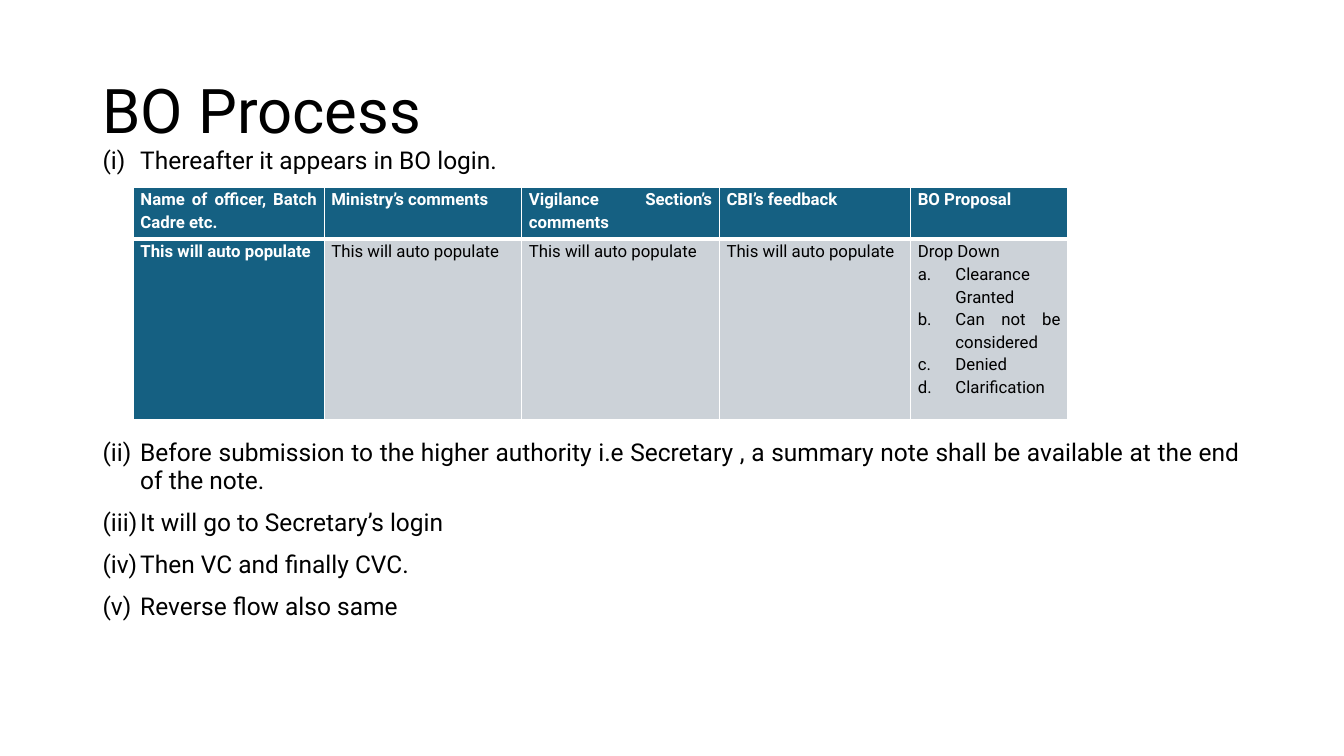
from lxml import etree
from pptx import Presentation
from pptx import util as u
from pptx.dml.color import RGBColor
from pptx.enum import text
from pptx.oxml.ns import qn

FONT = "Roboto"
BLACK, WHITE, TEAL, GREY = "000000", "FFFFFF", "156082", "CCD2D8"
STEPS = [
    "Thereafter it appears in BO login.",
    "Before submission to the higher authority i.e Secretary , a summary note "
    "shall be available at the end of the note.",
    "It will go to Secretary’s login",
    "Then VC and finally CVC.",
    "Reverse flow also same",
]
AUTO = "This will auto populate"
CHOICES = ["Clearance Granted", "Can not be considered", "Denied", "Clarification"]
ROWS = [
    ["Name of officer, Batch Cadre etc.", "Ministry’s comments",
     "Vigilance Section’s comments", "CBI’s feedback", "BO Proposal"],
    [AUTO, AUTO, AUTO, AUTO, "\n".join(["Drop Down"] + CHOICES)],
]
COL_WIDTHS = [4.81, 4.98, 4.98, 4.82, 3.96]
ROW_HEIGHTS = [1.32, 4.54]


def rgb(value):
    return RGBColor.from_string(value)


def place(sp, x, y, w, h):
    sp.left, sp.top, sp.width, sp.height = (u.Cm(v) for v in (x, y, w, h))


def format_runs(p, size, color, bold=False):
    for r in p.runs:
        r.font.name, r.font.size, r.font.bold = FONT, u.Pt(size), bold
        r.font.color.rgb = rgb(color)


def justify(p, line_spacing, before=0):
    p.alignment = text.PP_ALIGN.JUSTIFY
    p.line_spacing = line_spacing
    p.space_before = u.Pt(before)


def number(p, scheme):
    """Give the paragraph automatic numbering with a hanging indent."""
    pPr = p._p.get_or_add_pPr()
    pPr.set("marL", str(u.Cm(0.95)))
    pPr.set("indent", str(-u.Cm(0.95)))
    etree.SubElement(pPr, qn("a:buFont")).set("typeface", FONT)
    etree.SubElement(pPr, qn("a:buAutoNum")).set("type", scheme)


def set_borders(cell, widths):
    """Draw white borders; widths in points for left, right, top, bottom."""
    tcPr = cell._tc.get_or_add_tcPr()
    for i, (side, width) in enumerate(zip("LRTB", widths)):
        ln = etree.Element(qn("a:ln" + side), w=str(u.Pt(width)))
        fill = etree.SubElement(ln, qn("a:solidFill"))
        etree.SubElement(fill, qn("a:srgbClr")).set("val", WHITE)
        tcPr.insert(i, ln)


def add_title(s, x, y, w, h):
    sp = s.shapes.title
    place(sp, x, y, w, h)
    tf = sp.text_frame
    tf.text = "BO Process"
    tf.auto_size = text.MSO_AUTO_SIZE.NONE
    tf.vertical_anchor = text.MSO_ANCHOR.MIDDLE
    p = tf.paragraphs[0]
    p.alignment = text.PP_ALIGN.LEFT
    p.line_spacing = 0.9
    format_runs(p, 44, BLACK)


def add_steps(s, x, y, w, h, table_gap):
    """List the steps, leaving table_gap points after the first one."""
    sp = s.placeholders[1]
    place(sp, x, y, w, h)
    tf = sp.text_frame
    tf.text = "\n".join(STEPS)
    tf.auto_size = text.MSO_AUTO_SIZE.NONE
    tf.vertical_anchor = text.MSO_ANCHOR.TOP
    for i, p in enumerate(tf.paragraphs):
        justify(p, 0.95, table_gap if i == 1 else 10)
        number(p, "romanLcParenBoth")
        format_runs(p, 17.5, BLACK)


def fill_cell(cell, content, header, label):
    """Write one cell; label marks the header row and the first column."""
    cell.text = content
    cell.margin_left = cell.margin_right = u.Cm(0.18)
    cell.margin_top = cell.margin_bottom = 0
    cell.fill.solid()
    cell.fill.fore_color.rgb = rgb(TEAL if label else GREY)
    set_borders(cell, (1, 1, 1, 3) if header else (1, 1, 3, 1))
    for p in cell.text_frame.paragraphs:
        justify(p, 1.15)
        if p.text in CHOICES:
            number(p, "alphaLcPeriod")
        format_runs(p, 12, WHITE if label else BLACK, label)


def add_proposal_table(s, x, y):
    size = u.Cm(sum(COL_WIDTHS)), u.Cm(sum(ROW_HEIGHTS))
    table = s.shapes.add_table(len(ROWS), len(COL_WIDTHS), u.Cm(x), u.Cm(y), *size).table
    for col, width in zip(table.columns, COL_WIDTHS):
        col.width = u.Cm(width)
    for i, (row, height) in enumerate(zip(table.rows, ROW_HEIGHTS)):
        row.height = u.Cm(height)
        for j, cell in enumerate(row.cells):
            fill_cell(cell, ROWS[i][j], i == 0, i == 0 or j == 0)


def main():
    prs = Presentation()
    prs.slide_width, prs.slide_height = u.Cm(33.87), u.Cm(19.05)
    s = prs.slides.add_slide(prs.slide_layouts[1])
    add_title(s, 2.33, 1.01, 29.21, 3.68)
    add_steps(s, 2.33, 3.57, 29.21, 13.59, table_gap=189)
    add_proposal_table(s, 3.36, 4.71)
    prs.save("out.pptx")


if __name__ == "__main__":
    main()
